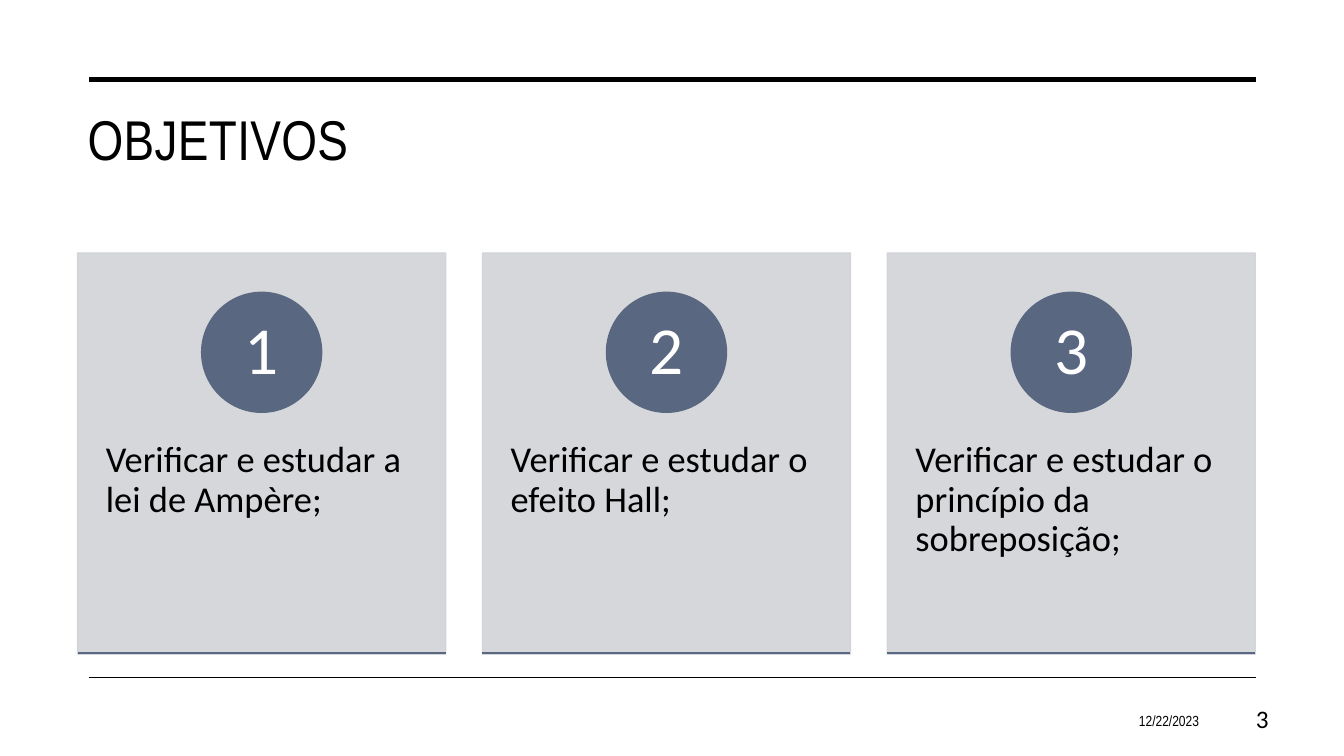
import pptx
import pptx.util
import pptx.dml.color
import pptx.enum.shapes
import pptx.enum.text
import pptx.oxml.ns
from lxml import etree

Inches = pptx.util.Inches
Pt = pptx.util.Pt
SHAPE = pptx.enum.shapes.MSO_SHAPE
ALIGN = pptx.enum.text.PP_ALIGN
ANCHOR = pptx.enum.text.MSO_ANCHOR

TITLE = "OBJETIVOS"
GOALS = [
    "Verificar e estudar a lei de Ampère;",
    "Verificar e estudar o efeito Hall;",
    "Verificar e estudar o princípio da sobreposição;",
]
DATE = "12/22/2023"
PAGE_NUMBER = "3"

THEME = {
    "ink": "000000", "card": "D1D3D8", "accent": "596781", "light": "FFFFFF",
    "heading_font": "Arial Narrow", "body_font": "Calibri",
    "title": 40, "goal": 26, "number": 48, "date": 10.5, "page": 18,
}

RULE_LEFT, RULE_RIGHT = 0.88, 12.46
CARD_LEFT, CARD_TOP, CARD_WIDTH, CARD_HEIGHT = 0.77, 2.51, 3.65, 3.98
CARD_STEP = 4.015
GOAL_TOP, GOAL_HEIGHT = 4.02, 2.39
CIRCLE_TOP, CIRCLE_SIZE, NUMBER_SIZE = 2.9, 1.19, 0.84
CARD_OPACITY = 90


def color(name):
    return pptx.dml.color.RGBColor.from_string(THEME[name])


def add_rule(page, left, right, y, width, tint="ink"):
    rule = page.shapes.add_connector(
        pptx.enum.shapes.MSO_CONNECTOR.STRAIGHT,
        Inches(left), Inches(y), Inches(right), Inches(y))
    rule.line.color.rgb = color(tint)
    rule.line.width = Pt(width)
    etree.SubElement(rule._element.spPr, pptx.oxml.ns.qn("a:effectLst"))


def add_filled(page, kind, left, top, width, height, tint, opacity=100):
    """Add a shape whose fill and outline share one colour and opacity."""
    shape = page.shapes.add_shape(
        kind, Inches(left), Inches(top), Inches(width), Inches(height))
    shape.shadow.inherit = False
    shape.fill.solid()
    shape.fill.fore_color.rgb = color(tint)
    shape.line.color.rgb = color(tint)
    shape.line.width = Pt(1)
    if opacity < 100:
        for tone in shape._element.spPr.iter(pptx.oxml.ns.qn("a:srgbClr")):
            alpha = etree.SubElement(tone, pptx.oxml.ns.qn("a:alpha"))
            alpha.set("val", str(opacity * 1000))


def add_text(page, text, left, top, width, height, *, size, font="body_font",
             tint="ink", align=ALIGN.LEFT, anchor=ANCHOR.TOP,
             inset=(0.1, 0.05), line_spacing=1.0, tracking=None):
    box = page.shapes.add_textbox(
        Inches(left), Inches(top), Inches(width), Inches(height))
    frame = box.text_frame
    frame.word_wrap = True
    frame.vertical_anchor = anchor
    frame.margin_left = frame.margin_right = Inches(inset[0])
    frame.margin_top = frame.margin_bottom = Inches(inset[1])
    para = frame.paragraphs[0]
    para.alignment = align
    para.line_spacing = line_spacing
    span = para.add_run()
    span.text = text
    span.font.name = THEME[font]
    span.font.size = Pt(THEME[size])
    span.font.color.rgb = color(tint)
    if tracking:
        span.font._element.set("spc", str(round(tracking * 100)))


def add_card(page, index, goal):
    left = CARD_LEFT + index * CARD_STEP
    center = left + CARD_WIDTH / 2
    number_top = CIRCLE_TOP + (CIRCLE_SIZE - NUMBER_SIZE) / 2
    add_filled(page, SHAPE.RECTANGLE, left, CARD_TOP, CARD_WIDTH, CARD_HEIGHT,
               "card", CARD_OPACITY)
    add_text(page, goal, left, GOAL_TOP, CARD_WIDTH, GOAL_HEIGHT,
             size="goal", inset=(0.28, 0.36), line_spacing=0.9)
    add_filled(page, SHAPE.OVAL, center - CIRCLE_SIZE / 2, CIRCLE_TOP,
               CIRCLE_SIZE, CIRCLE_SIZE, "accent")
    add_text(page, str(index + 1), center - NUMBER_SIZE / 2, number_top,
             NUMBER_SIZE, NUMBER_SIZE, size="number", tint="light",
             align=ALIGN.CENTER, anchor=ANCHOR.MIDDLE, inset=(0.09, 0.01),
             line_spacing=0.9)
    add_rule(page, left, left + CARD_WIDTH, CARD_TOP + CARD_HEIGHT - 0.01, 1,
             "accent")


def main():
    deck = pptx.Presentation()
    deck.slide_width, deck.slide_height = Inches(13.33), Inches(7.5)
    page = deck.slides.add_slide(deck.slide_layouts[6])

    add_rule(page, RULE_LEFT, RULE_RIGHT, 0.79, 3.5)
    add_rule(page, RULE_LEFT, RULE_RIGHT, 6.72, 1)
    add_text(page, TITLE, CARD_LEFT, 0.99, 11.69, 1.26, size="title",
             font="heading_font", tracking=0.3)
    add_text(page, DATE, 9.15, 6.95, 2.84, 0.4, size="date",
             font="heading_font", align=ALIGN.RIGHT, anchor=ANCHOR.MIDDLE)
    add_text(page, PAGE_NUMBER, 11.94, 6.95, 0.74, 0.4, size="page",
             align=ALIGN.RIGHT, anchor=ANCHOR.MIDDLE, line_spacing=0.9)
    for index, goal in enumerate(GOALS):
        add_card(page, index, goal)

    deck.save("out.pptx")


if __name__ == "__main__":
    main()
